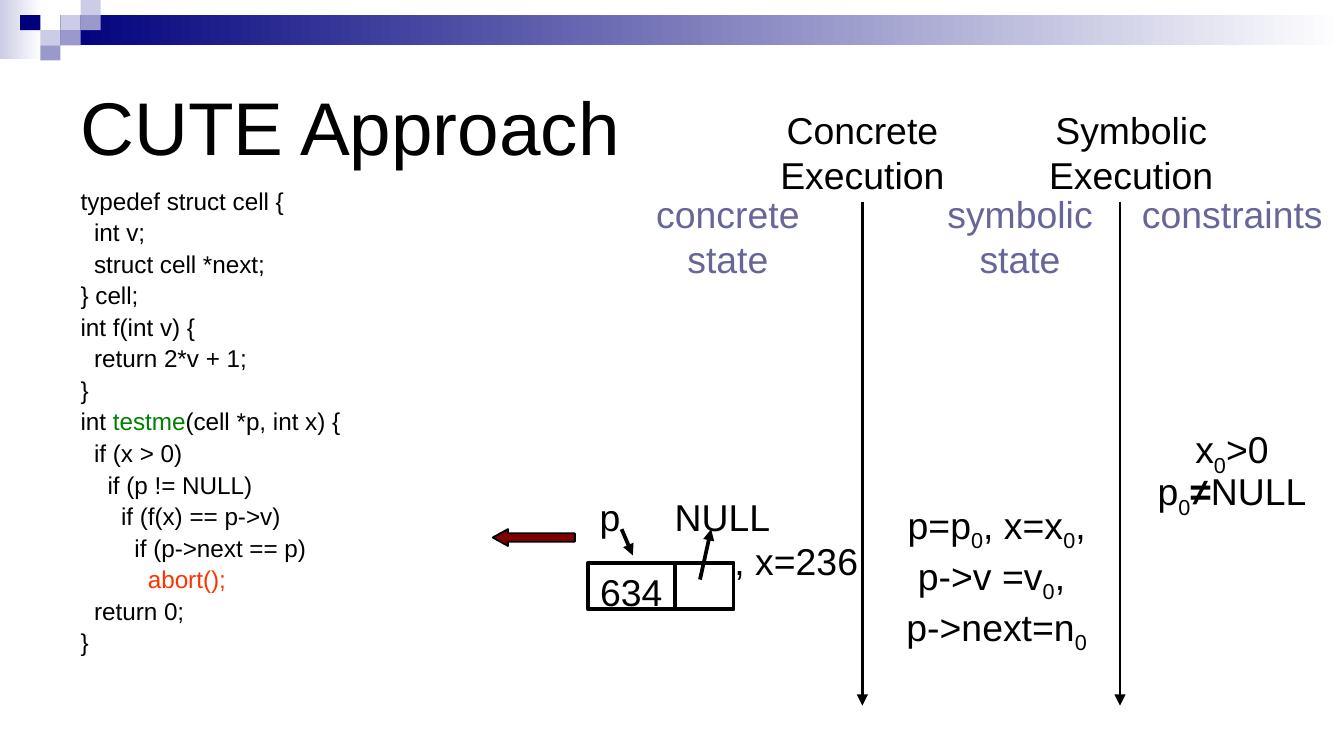
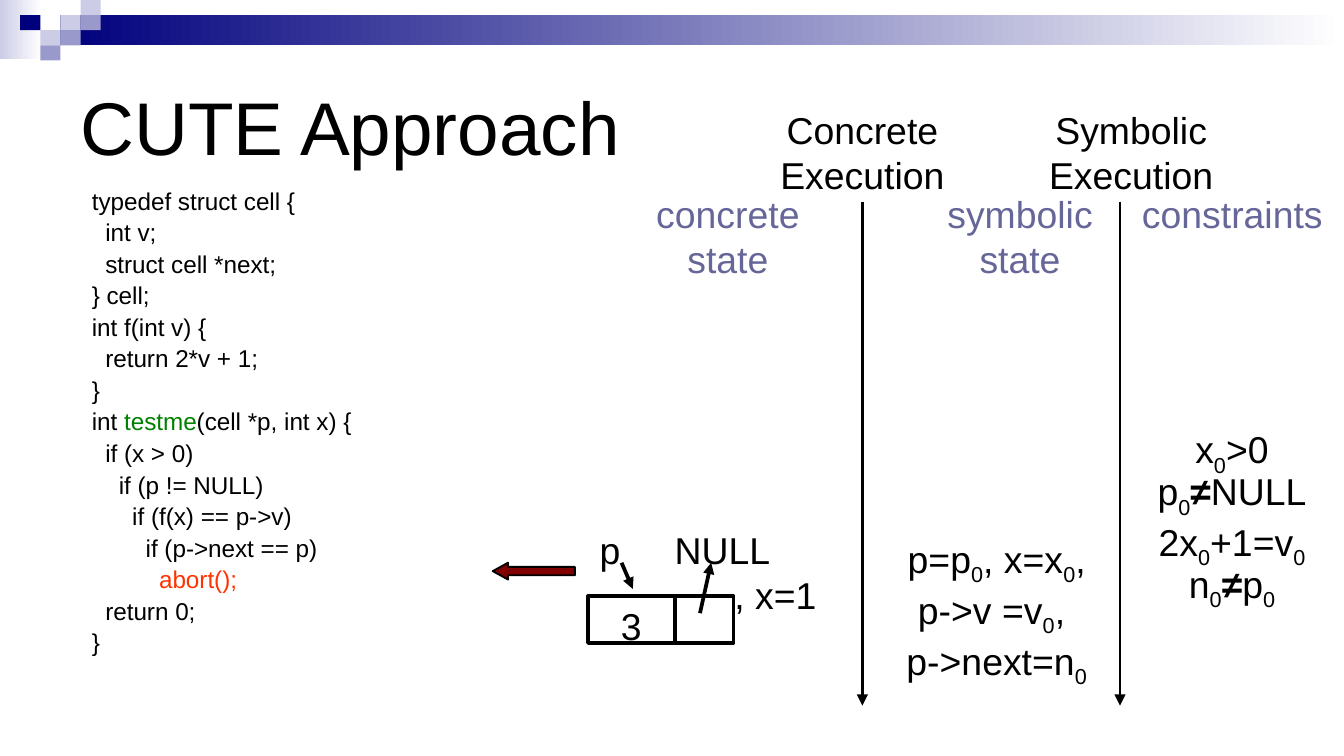
from lxml.etree import SubElement
from pptx import Presentation
from pptx.dml.color import RGBColor
from pptx.enum.shapes import MSO_CONNECTOR, MSO_SHAPE
from pptx.enum.text import MSO_ANCHOR, MSO_AUTO_SIZE, PP_ALIGN
from pptx.oxml.ns import qn
from pptx.util import Pt

FONT = "Arial"
BLACK, WHITE, NAVY = "000000", "FFFFFF", "00007D"
LILAC, VIOLET, SLATE = "CCCCE6", "9999CC", "666699"
GREEN, ORANGE, MAROON = "008000", "FF3300", "800000"
CENTER = PP_ALIGN.CENTER

SUB0 = ("0", {"baseline": -25000})
NOT_EQUAL = ("≠", {"bold": True})

CODE = [
    "typedef struct cell {",
    "  int v;",
    "  struct cell *next;",
    "} cell;",
    "int f(int v) {",
    "  return 2*v + 1;",
    "}",
    ["int ", ("testme", {"color": GREEN}), "(cell *p, int x) {"],
    "  if (x > 0)",
    "    if (p != NULL)",
    "      if (f(x) == p->v)",
    "        if (p->next == p)",
    ["          ", ("abort();", {"color": ORANGE})],
    "  return 0;",
    "}",
]
SYMBOLIC_STATE = ["p=p", SUB0, ", x=x", SUB0, ",\np->v =v", SUB0,
                  ", \np->next=n", SUB0]
CONSTRAINTS = [
    ["x", SUB0, ">0"],
    ["p", SUB0, NOT_EQUAL, "NULL"],
    ["2x", SUB0, "+1=v", SUB0],
    ["n", SUB0, NOT_EQUAL, "p", SUB0],
]
HEADINGS = [  # text, left, top, width, height, colour
    ("Concrete Execution", 402, 54, 120, 42, BLACK),
    ("Symbolic Execution", 546, 54, 120, 42, BLACK),
    ("concrete state", 336, 99, 108, 42, SLATE),
    ("symbolic state", 492.5, 99, 108, 42, SLATE),
    ("constraints", 600.5, 99, 119.5, 23, SLATE),
]


def rgb(color):
    return RGBColor.from_string(color)


def place(shape, x, y, w, h):
    shape.left, shape.top, shape.width, shape.height = Pt(x), Pt(y), Pt(w), Pt(h)


def add_run(p, text, size, color, bold=False, baseline=None):
    for i, part in enumerate(text.split("\n")):
        if i:
            p.add_line_break()
        r = p.add_run()
        r.text = part
        r.font.name, r.font.size, r.font.bold = FONT, Pt(size), bold
        r.font.color.rgb = rgb(color)
        if baseline:
            r._r.get_or_add_rPr().set("baseline", str(baseline))


def write(tf, paragraphs, size=20, color=BLACK, align=PP_ALIGN.LEFT,
          anchor=MSO_ANCHOR.TOP, indents=None, hanging=0, spacing=None, before=0,
          margins=(7.2, 7.2)):
    """Fill a text frame; a paragraph is a string or a list of runs."""
    tf.word_wrap = True
    tf.auto_size = MSO_AUTO_SIZE.NONE
    tf.vertical_anchor = anchor
    tf.margin_left, tf.margin_right = map(Pt, margins)
    tf.margin_top = tf.margin_bottom = Pt(3.6)
    for i, runs in enumerate(paragraphs):
        p = tf.add_paragraph() if i else tf.paragraphs[0]
        p.alignment = align
        p.line_spacing = spacing
        p.space_before = Pt(before if i else 0)
        pPr = p._p.get_or_add_pPr()
        pPr.set("marL", str(Pt(indents[i] if indents else hanging)))
        pPr.set("indent", str(Pt(-hanging)))
        SubElement(pPr, qn("a:buNone"))
        for run in [runs] if isinstance(runs, str) else runs:
            text, fmt = (run, {}) if isinstance(run, str) else run
            add_run(p, text, size, **{"color": color, **fmt})


def add_text(s, x, y, w, h, paragraphs, **fmt):
    box = s.shapes.add_textbox(Pt(x), Pt(y), Pt(w), Pt(h))
    write(box.text_frame, paragraphs, **fmt)


def add_box(s, x, y, w, h, fill=None, line=None, width=1, kind=MSO_SHAPE.RECTANGLE):
    """Add a preset shape; a pair of fill colours makes a left-to-right gradient."""
    sp = s.shapes.add_shape(kind, Pt(x), Pt(y), Pt(w), Pt(h))
    sp.shadow.inherit = False
    if fill is None:
        sp.fill.background()
    elif isinstance(fill, tuple):
        sp.fill.gradient()
        sp.fill.gradient_angle = 0
        for stop, color in zip(sp.fill.gradient_stops, fill):
            stop.color.rgb = rgb(color)
    else:
        sp.fill.solid()
        sp.fill.fore_color.rgb = rgb(fill)
    if line:
        sp.line.color.rgb = rgb(line)
        sp.line.width = Pt(width)
    else:
        sp.line.fill.background()
    return sp


def add_line(s, x1, y1, x2, y2, width=2, arrow=True):
    c = s.shapes.add_connector(MSO_CONNECTOR.STRAIGHT, Pt(x1), Pt(y1), Pt(x2), Pt(y2))
    c.line.color.rgb = rgb(BLACK)
    c.line.width = Pt(width)
    if arrow:
        SubElement(c.line._get_or_add_ln(), qn("a:tailEnd"), type="triangle")
    SubElement(c._element.spPr, qn("a:effectLst"))


def add_master_band(prs, s):
    """Draw the top band on a slide, then move it behind the master's placeholders."""
    w, h = 10.8, 8.1
    band = [add_box(s, 0, 0, 22.3, 31.7, (LILAC, WHITE)),
            add_box(s, 3 * w, h, 720 - 3 * w, 2 * h, (NAVY, WHITE))]
    tiles = [(3, 1, LILAC), (4, 0, LILAC), (4, 1, VIOLET), (2, 2, LILAC),
             (1, 1, NAVY), (3, 2, VIOLET), (2, 3, VIOLET)]
    band += [add_box(s, col * w, row * h, w, h, color) for col, row, color in tiles]
    tree = prs.slide_master.shapes.element
    for i, sp in enumerate(band):
        sp.element.nvSpPr.cNvPr.set("id", str(100 + i))
        tree.insert(2 + i, sp.element)


def add_title_and_code(s, code_left):
    title, body = s.shapes.title, s.placeholders[1]
    place(title, 36, 27, 648, 81)
    write(title.text_frame, ["CUTE Approach"], size=40, anchor=MSO_ANCHOR.MIDDLE)
    place(body, code_left, 99, 318, 229.5)
    write(body.text_frame, CODE, size=13, hanging=27, spacing=0.8, before=4.4)


def add_execution_columns(s):
    for x in (462, 600):
        add_line(s, x, 108, x, 378, width=1.5)
    for text, x, y, w, h, color in HEADINGS:
        add_text(s, x, y, w, h, [text], color=color, align=CENTER)


def add_state(s, top, cell_value, x_value):
    """Show the current line's arrow, the heap cell and the symbolic state."""
    add_text(s, 465, top + 4.5, 138, 60, [SYMBOLIC_STATE], align=CENTER)
    arrow = add_box(s, 264, top + 22.5, 44, 9, MAROON, BLACK, kind=MSO_SHAPE.LEFT_ARROW)
    arrow.adjustments[0], arrow.adjustments[1] = 0.5, 0.91
    add_text(s, 303, top, 168, 42, ["p", f", x={x_value}"], indents=(11.1, 83.4))
    add_line(s, 333, top + 22.5, 339, top + 36.5)
    add_line(s, 375, top + 49.5, 381, top + 22.5)
    add_text(s, 351, top, 72, 23, ["NULL"], align=CENTER)
    cell = add_box(s, 315, top + 40.5, 78, 25, line=BLACK, width=2)
    write(cell.text_frame, [cell_value], align=CENTER, margins=(0, 31.5))
    add_line(s, 361.5, top + 65.5, 361.5, top + 40.5, arrow=False)


def add_constraints(s, count):
    for i, constraint in enumerate(CONSTRAINTS[:count]):
        y = 225 + 49.5 * (i // 2) + 22.5 * (i % 2)
        add_text(s, 600, y, 120, 24, [constraint], align=CENTER)


def main():
    prs = Presentation()
    prs.slide_width, prs.slide_height = Pt(720), Pt(405)
    steps = [  # code left, state top, cell value, x, constraints shown
        (36, 261, "634", 236, 2),
        (42, 279, "3", 1, 4),
    ]
    for i, (code_left, top, cell_value, x_value, count) in enumerate(steps):
        s = prs.slides.add_slide(prs.slide_layouts[1])
        if i == 0:
            add_master_band(prs, s)
        add_title_and_code(s, code_left)
        add_execution_columns(s)
        add_state(s, top, cell_value, x_value)
        add_constraints(s, count)
    prs.save("out.pptx")


if __name__ == "__main__":
    main()
